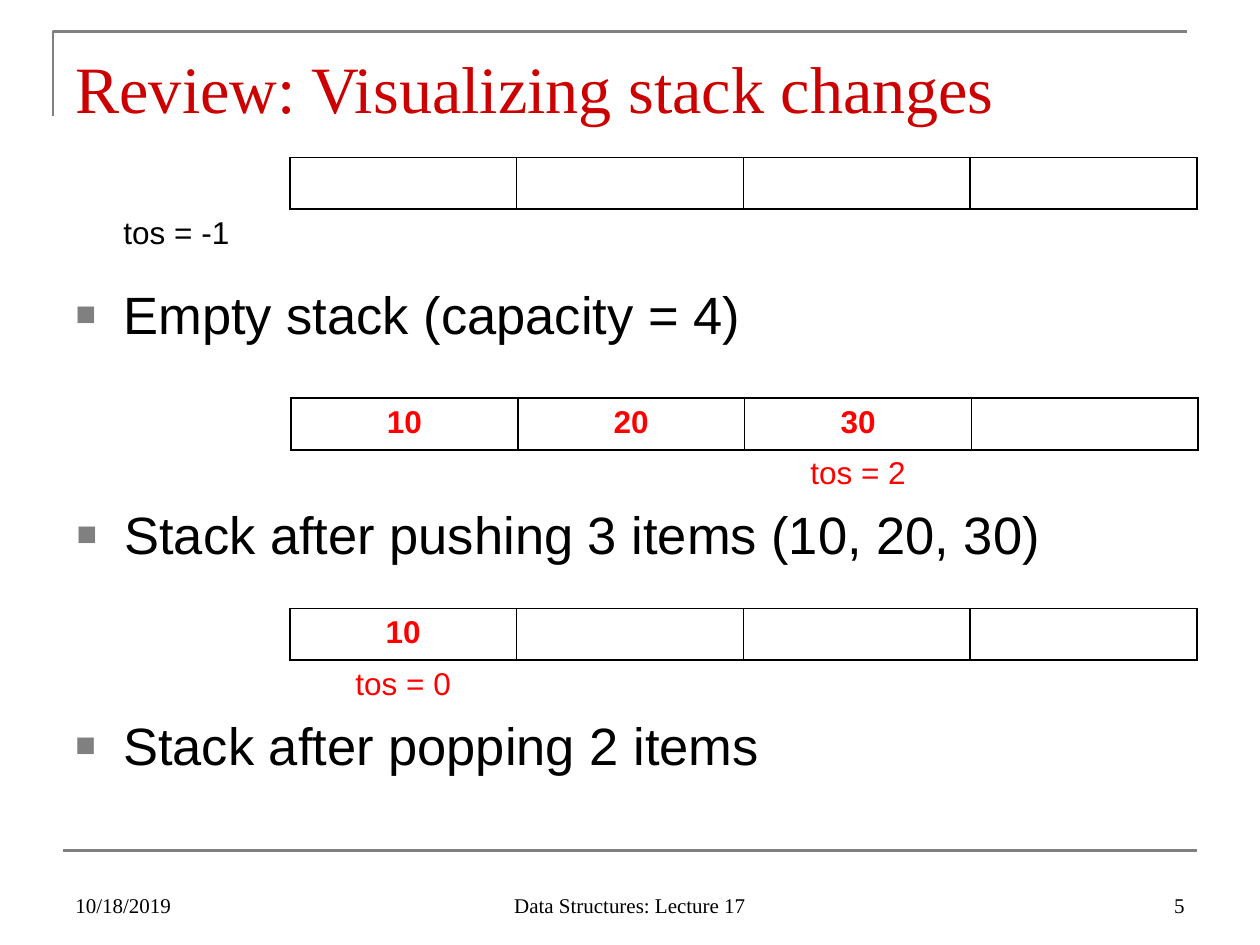
from dataclasses import dataclass

from lxml.etree import SubElement
from pptx import Presentation
from pptx.dml.color import RGBColor
from pptx.enum.shapes import MSO_CONNECTOR as Connector
from pptx.enum.text import MSO_ANCHOR as Anchor, MSO_AUTO_SIZE as AutoSize, PP_ALIGN as Align
from pptx.oxml.ns import qn
from pptx.util import Inches, Pt


@dataclass(frozen=True)
class Theme:
    serif: str = "Times New Roman"
    sans: str = "Arial"
    title: str = "CC0000"
    ink: str = "000000"
    accent: str = "FF0000"
    rule: str = "808080"
    title_size: float = 37.8
    body_size: int = 30
    cell_size: int = 18
    footer_size: int = 12
    rule_width: float = 1.5


THEME = Theme()
WIDTH, HEIGHT = 10, 7.5
MARGIN = WIDTH * 0.05
CONTENT = WIDTH - 2 * MARGIN
CAPACITY = 4
COLUMN = CONTENT / (CAPACITY + 1)
ROW = 0.41
CAPTION_HEIGHT = 0.69
FOOTER_TOP, FOOTER_HEIGHT = 6.83, 0.5


def write(paragraph, text, name, size, color, bold=False, align=Align.LEFT):
    paragraph.text = text
    paragraph.alignment = align
    values = {"name": name, "size": Pt(size), "bold": bold}
    font = paragraph.runs[0].font
    for attribute, value in values.items():
        setattr(font, attribute, value)
    font.color.rgb = RGBColor.from_string(color)


def place(shape, left, top, width, height):
    box = {"left": left, "top": top, "width": width, "height": height}
    for attribute, inches in box.items():
        setattr(shape, attribute, Inches(inches))


def prepare(frame, anchor):
    frame.word_wrap = True
    frame.auto_size = AutoSize.NONE
    frame.vertical_anchor = anchor
    return frame.paragraphs[0]


def add_bullet(paragraph):
    properties = paragraph._p.get_or_add_pPr()
    properties.set("marL", str(Inches(0.38)))
    properties.set("indent", str(-Inches(0.38)))
    color = SubElement(properties, qn("a:buClr"))
    SubElement(color, qn("a:srgbClr"), val=THEME.rule)
    SubElement(properties, qn("a:buSzPct"), val="65000")
    SubElement(properties, qn("a:buFont"), typeface=THEME.sans)
    SubElement(properties, qn("a:buChar"), char="■")


def write_caption(shape, text, left, top):
    place(shape, left, top, CONTENT, CAPTION_HEIGHT)
    paragraph = prepare(shape.text_frame, Anchor.MIDDLE)
    paragraph.space_before = Pt(0)
    add_bullet(paragraph)
    write(paragraph, text, THEME.sans, THEME.body_size, THEME.ink)


def set_borders(cell, drawn):
    """Draw the sides named in drawn (from L, R, T, B) and clear the others."""
    properties = cell._tc.get_or_add_tcPr()
    for side in "LRTB":
        line = SubElement(properties, qn(f"a:ln{side}"), w=str(Pt(1)))
        if side in drawn:
            fill = SubElement(line, qn("a:solidFill"))
            SubElement(fill, qn("a:srgbClr"), val=THEME.ink)
        else:
            SubElement(line, qn("a:noFill"))


def add_stack(slide, left, top, items, label_color):
    """Draw the stack's slots, with the top-of-stack label under its index."""
    tos = len(items) - 1
    table = slide.shapes.add_table(
        2, CAPACITY + 1, Inches(left), Inches(top), Inches(CONTENT), Inches(2 * ROW)
    ).table
    for option in ("first_row", "horz_banding"):
        setattr(table, option, False)
    for column in table.columns:
        column.width = Inches(COLUMN)
    for row in table.rows:
        row.height = Inches(ROW)
    for index in range(CAPACITY + 1):
        slot, below = table.cell(0, index), table.cell(1, index)
        set_borders(slot, "LRTB" if index else "R")
        set_borders(below, "T" if index else "")
        for cell in (slot, below):
            cell.fill.background()
    for index, item in enumerate(items, 1):
        write(table.cell(0, index).text_frame.paragraphs[0], str(item), THEME.sans,
              THEME.cell_size, THEME.accent, True, Align.CENTER)
    write(table.cell(1, tos + 1).text_frame.paragraphs[0], f"tos = {tos}", THEME.sans,
          THEME.cell_size, label_color, align=Align.CENTER)


def style_rule(shape):
    shape.line.color.rgb = RGBColor.from_string(THEME.rule)
    shape.line.width = Pt(THEME.rule_width)


def add_frame_rules(slide):
    left, top = 0.42, 0.25
    builder = slide.shapes.build_freeform(Inches(left), Inches(0.92))
    corner_points = [(left, top), (left + CONTENT, top)]
    builder.add_line_segments([(Inches(x), Inches(y)) for x, y in corner_points], close=False)
    corner = builder.convert_to_shape()
    corner.shadow.inherit = False
    corner.fill.background()
    style_rule(corner)
    base_y = Inches(HEIGHT * 0.9)
    base = slide.shapes.add_connector(
        Connector.STRAIGHT, Inches(MARGIN), base_y, Inches(WIDTH - MARGIN), base_y
    )
    SubElement(base._element.spPr, qn("a:effectLst"))
    style_rule(base)


def add_footer(slide, text, left, width, align):
    box = slide.shapes.add_textbox(
        Inches(left), Inches(FOOTER_TOP), Inches(width), Inches(FOOTER_HEIGHT)
    )
    paragraph = prepare(box.text_frame, Anchor.BOTTOM)
    write(paragraph, text, THEME.serif, THEME.footer_size, THEME.ink, align=align)


def main():
    deck = Presentation()
    deck.slide_width, deck.slide_height = Inches(WIDTH), Inches(HEIGHT)
    slide = deck.slides.add_slide(deck.slide_layouts[1])
    add_frame_rules(slide)

    title = slide.shapes.title
    place(title, MARGIN, 0.3, CONTENT, 0.78)
    write(prepare(title.text_frame, Anchor.MIDDLE), "Review: Visualizing stack changes",
          THEME.serif, THEME.title_size, THEME.title)

    stages = [
        (MARGIN, 1.25, [], THEME.ink, 2.14, "Empty stack (capacity = 4)"),
        (MARGIN + 0.01, 3.16, [10, 20, 30], THEME.accent, 3.89,
         "Stack after pushing 3 items (10, 20, 30)"),
        (MARGIN, 4.83, [10], THEME.accent, 5.56, "Stack after popping 2 items"),
    ]
    body = slide.placeholders[1]
    for number, (left, top, items, color, caption_top, caption) in enumerate(stages):
        add_stack(slide, left, top, items, color)
        holder = slide.shapes.add_textbox(0, 0, 0, 0) if number else body
        write_caption(holder, caption, left, caption_top)

    side, middle = 2.33, 3.17
    add_footer(slide, "10/18/2019", MARGIN, side, Align.LEFT)
    add_footer(slide, "Data Structures: Lecture 17", (WIDTH - middle) / 2, middle, Align.CENTER)
    add_footer(slide, "5", WIDTH - MARGIN - side, side, Align.RIGHT)
    deck.save("out.pptx")


if __name__ == "__main__":
    main()
